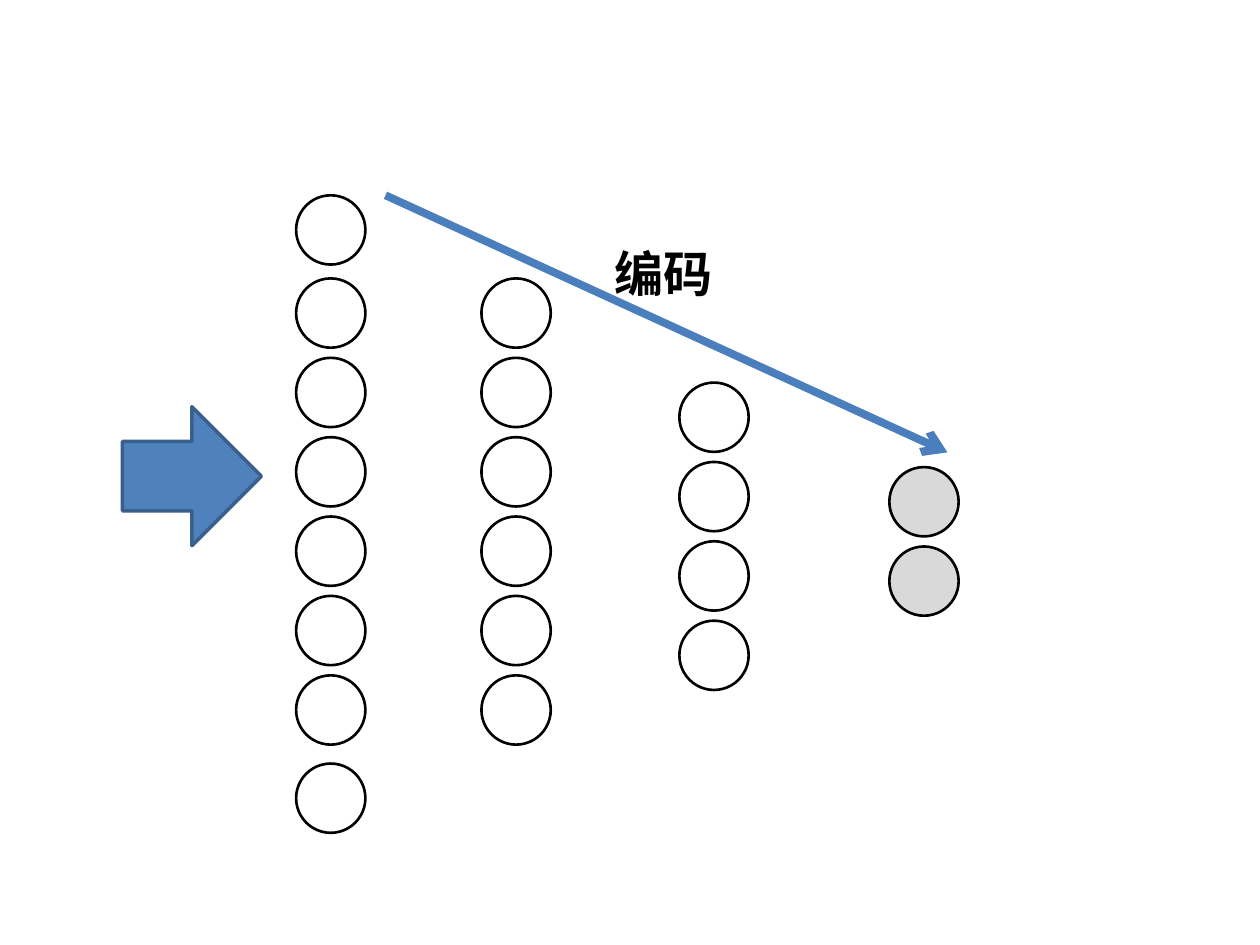
import pptx
import pptx.dml.color
import pptx.enum.dml
import pptx.enum.shapes
import pptx.enum.text
import pptx.oxml.ns
import pptx.util
from lxml import etree

Pt = pptx.util.Pt
RGBColor = pptx.dml.color.RGBColor
SHAPES = pptx.enum.shapes.MSO_SHAPE

BLACK = RGBColor(0x00, 0x00, 0x00)
CODE_GRAY = RGBColor(0xD9, 0xD9, 0xD9)
INPUT_BLUE = RGBColor(0x4F, 0x81, 0xBD)
INPUT_EDGE = RGBColor(0x3A, 0x5F, 0x8C)
ENCODE_BLUE = RGBColor(0x4B, 0x7E, 0xBC)

NEURON_SIZE = 39.6
NEURON_PITCH = 45.36


def add_outlined(slide, preset, left, top, size, fill, edge, edge_width):
    outlined = slide.shapes.add_shape(preset, Pt(left), Pt(top), Pt(size), Pt(size))
    outlined.shadow.inherit = False
    if fill is None:
        outlined.fill.background()
    else:
        outlined.fill.solid()
        outlined.fill.fore_color.rgb = fill
    outlined.line.color.rgb = edge
    outlined.line.width = Pt(edge_width)


def add_layer(slide, left, top, count, fill=None):
    for index in range(count):
        add_outlined(slide, SHAPES.OVAL, left, top + index * NEURON_PITCH,
                     NEURON_SIZE, fill, BLACK, 1.5)


def add_encoder(slide, left, top):
    add_layer(slide, left, top, 1)
    add_layer(slide, left, top + 47.5, 6)
    add_layer(slide, left, top + 324.7, 1)
    add_layer(slide, left + 105.9, top + 47.5, 6)
    add_layer(slide, left + 219, top + 107, 4)
    add_layer(slide, left + 339, top + 155.3, 2, CODE_GRAY)


def add_encoding_label(slide, left, top, width, height):
    label = slide.shapes.add_textbox(Pt(left), Pt(top), Pt(width), Pt(height))
    label.text_frame.word_wrap = True
    label.text_frame.auto_size = pptx.enum.text.MSO_AUTO_SIZE.SHAPE_TO_FIT_TEXT
    caption = label.text_frame.paragraphs[0]
    caption.text = "编码"
    caption.font.name = "Calibri"
    caption.font.size = Pt(28)
    caption.font.bold = True
    caption.font.color.rgb = BLACK


def add_encoding_arrow(slide, left, top, width, height):
    arrow = slide.shapes.add_connector(
        pptx.enum.shapes.MSO_CONNECTOR.STRAIGHT,
        Pt(left), Pt(top), Pt(left + width), Pt(top + height))
    arrow.line.color.rgb = ENCODE_BLUE
    arrow.line.width = Pt(4.5)
    qn = pptx.oxml.ns.qn
    etree.SubElement(arrow.line._get_or_add_ln(), qn("a:tailEnd"), type="arrow")
    etree.SubElement(arrow._element.spPr, qn("a:effectLst"))


def main():
    deck = pptx.Presentation()
    deck.slide_width, deck.slide_height = Pt(720), Pt(540)
    slide = deck.slides.add_slide(deck.slide_layouts[6])
    add_encoder(slide, 169.2, 111.6)
    add_outlined(slide, SHAPES.RIGHT_ARROW, 70, 232.4, 79.4,
                 INPUT_BLUE, INPUT_EDGE, 2)
    add_encoding_label(slide, 344.2, 135.4, 87.8, 41)
    add_encoding_arrow(slide, 220.3, 111.6, 321.1, 146.9)
    deck.save("out.pptx")


if __name__ == "__main__":
    main()
